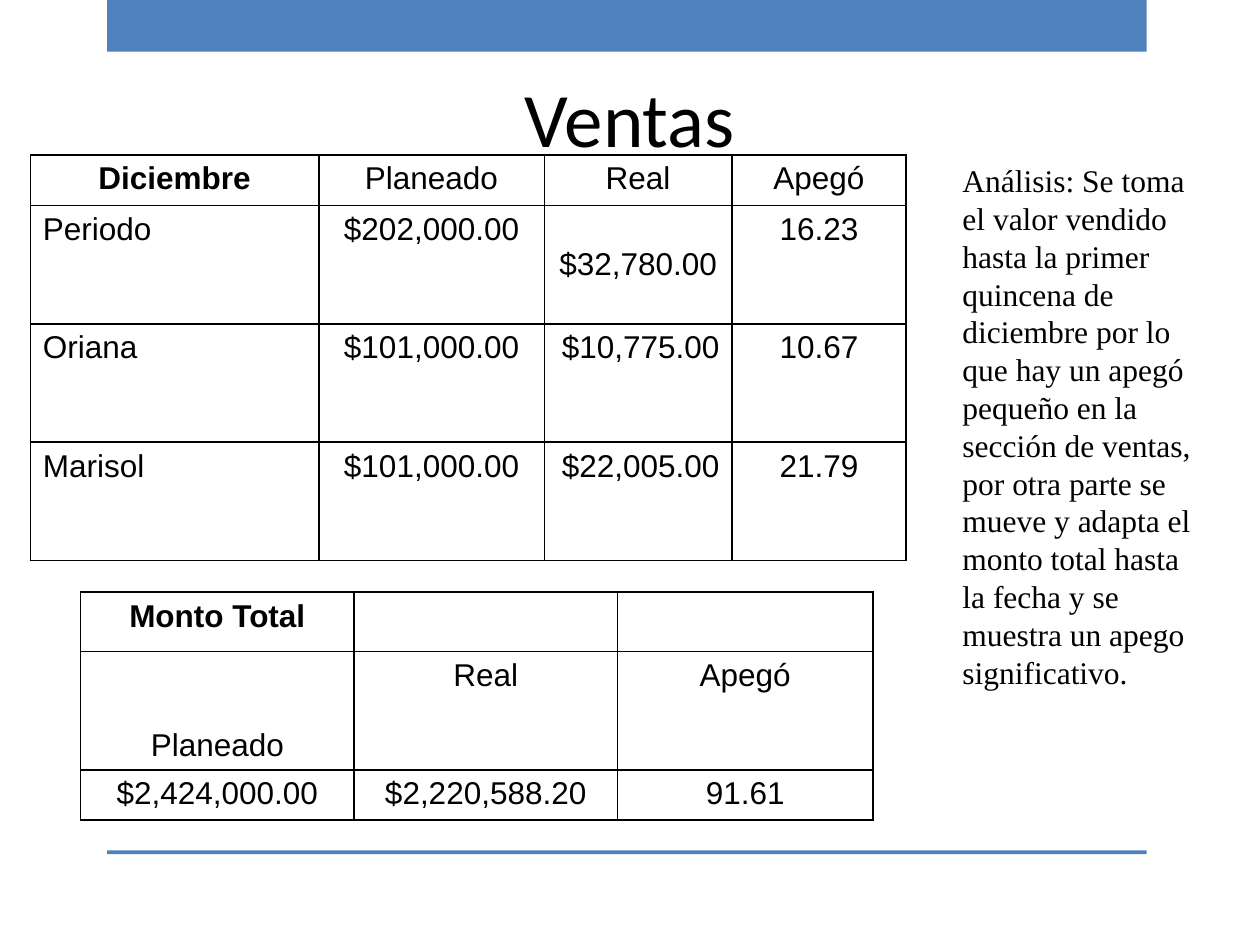
from lxml.etree import SubElement
from pptx import Presentation
from pptx.dml.color import RGBColor
from pptx.enum.shapes import MSO_SHAPE
from pptx.enum.text import MSO_ANCHOR as Anchor, PP_ALIGN as Align
from pptx.oxml.ns import qn
from pptx.util import Inches, Pt

BLUE = RGBColor(0x4F, 0x81, 0xBD)
BLACK = RGBColor(0, 0, 0)

SALES = [
    ["Diciembre", "Planeado", "Real", "Apegó"],
    ["Periodo", "$202,000.00", "$32,780.00", "16.23"],
    ["Oriana", "$101,000.00", "$10,775.00", "10.67"],
    ["Marisol", "$101,000.00", "$22,005.00", "21.79"],
]
TOTALS = [
    ["Monto Total", "", ""],
    ["Planeado", "Real", "Apegó"],
    ["$2,424,000.00", "$2,220,588.20", "91.61"],
]
ANALYSIS = (
    "Análisis: Se toma el valor vendido hasta la primer quincena de diciembre "
    "por lo que hay un apegó pequeño en la sección de ventas, por otra parte "
    "se mueve y adapta el monto total hasta la fecha y se muestra un apego "
    "significativo."
)


def write(frame, text, font, size, align=Align.LEFT, bold=False):
    paragraph = frame.paragraphs[0]
    paragraph.alignment = align
    run = paragraph.add_run()
    run.text = text
    run.font.name = font
    run.font.size = Pt(size)
    run.font.bold = bold
    run.font.color.rgb = BLACK


def add_bar(slide, top, height):
    bar = slide.shapes.add_shape(
        MSO_SHAPE.RECTANGLE, Inches(0.85), Inches(top), Inches(8.25), Inches(height)
    )
    bar.shadow.inherit = False
    bar.fill.solid()
    bar.fill.fore_color.rgb = BLUE
    bar.line.fill.background()


def add_text(slide, box, text, font, size, align=Align.LEFT, anchor=Anchor.TOP):
    frame = slide.shapes.add_textbox(*map(Inches, box)).text_frame
    frame.word_wrap = True
    frame.vertical_anchor = anchor
    write(frame, text, font, size, align)


def add_borders(cell):
    properties = cell._tc.get_or_add_tcPr()
    for side in ("a:lnL", "a:lnR", "a:lnT", "a:lnB"):
        border = SubElement(properties, qn(side), w=str(Pt(1)))
        fill = SubElement(border, qn("a:solidFill"))
        SubElement(fill, qn("a:srgbClr"), val=str(BLACK))


def add_grid(slide, left, top, widths, heights, rows):
    table = slide.shapes.add_table(
        len(rows), len(widths), Inches(left), Inches(top),
        Inches(sum(widths)), Inches(sum(heights)),
    ).table
    table.first_row = False
    table.horz_banding = False
    for column, width in zip(table.columns, widths):
        column.width = Inches(width)
    for row, height in zip(table.rows, heights):
        row.height = Inches(height)
    for r, texts in enumerate(rows):
        for c, text in enumerate(texts):
            cell = table.cell(r, c)
            add_borders(cell)
            cell.fill.background()
            if text:
                write(cell.text_frame, text, "Arial", 18, Align.CENTER, r == c == 0)
    return table


def align_cell(table, row, column, align):
    table.cell(row, column).text_frame.paragraphs[0].alignment = align


def main():
    deck = Presentation()
    deck.slide_width, deck.slide_height = Inches(10), Inches(7.5)
    slide = deck.slides.add_slide(deck.slide_layouts[6])

    add_bar(slide, 0, 0.41)
    add_bar(slide, 6.75, 0.03)
    add_text(slide, (0.5, 0.3, 9, 1.25), "Ventas", "Calibri", 44,
             Align.CENTER, Anchor.MIDDLE)
    add_text(slide, (7.54, 1.23, 2.02, 3.7), ANALYSIS, "Times New Roman", 18)

    sales = add_grid(slide, 0.24, 1.23, [2.29, 1.79, 1.49, 1.38],
                     [0.38] + [0.94] * 3, SALES)
    for row in (1, 2, 3):
        align_cell(sales, row, 0, Align.LEFT)
    for row in (2, 3):
        align_cell(sales, row, 2, Align.RIGHT)
    sales.cell(1, 2).vertical_anchor = Anchor.MIDDLE

    totals = add_grid(slide, 0.64, 4.7, [2.17, 2.09, 2.03],
                      [0.47, 0.94, 0.38], TOTALS)
    totals.cell(1, 0).vertical_anchor = Anchor.BOTTOM

    deck.save("out.pptx")


if __name__ == "__main__":
    main()
